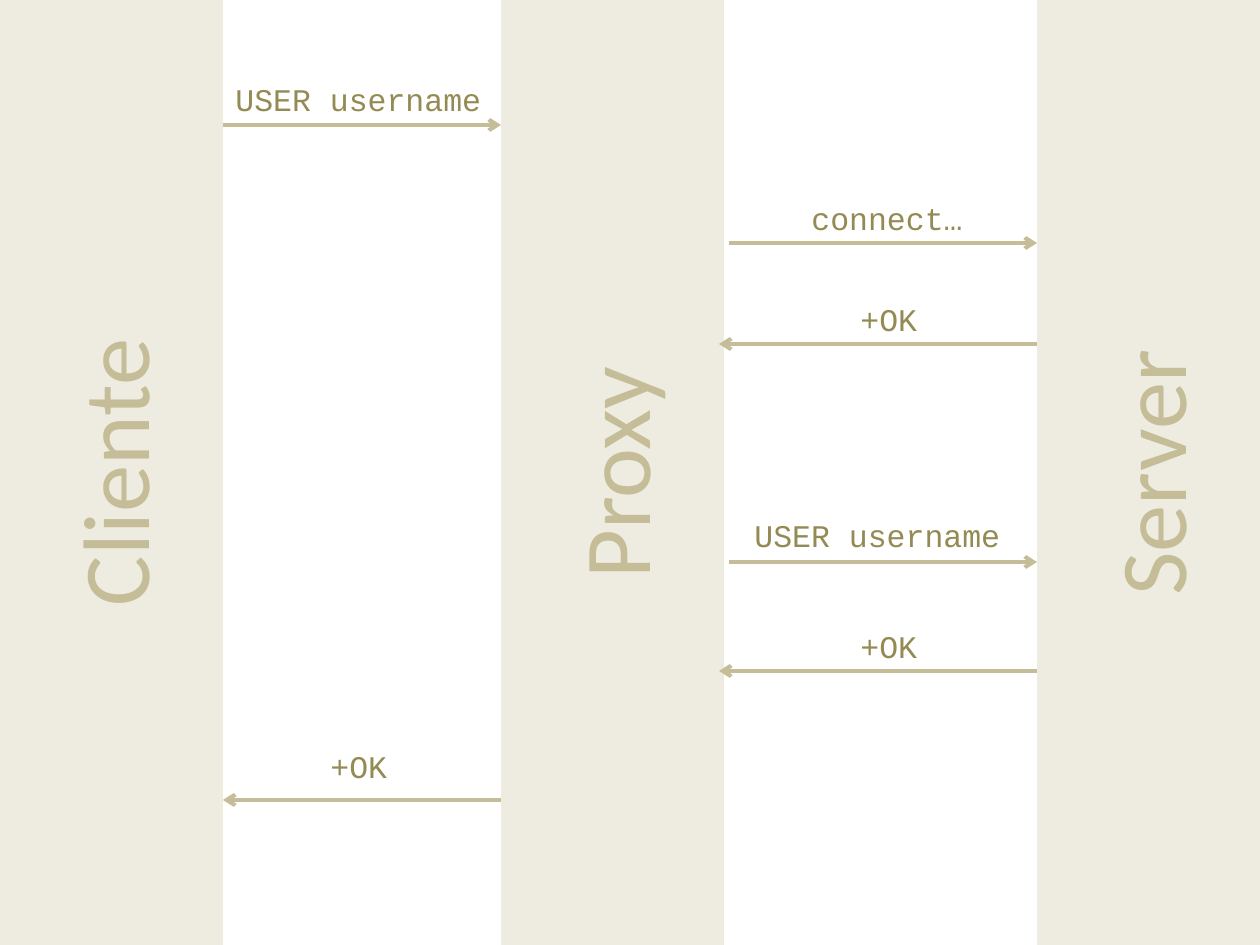
from lxml import etree
from pptx import Presentation
from pptx import util as u
from pptx.dml.color import RGBColor
from pptx.enum import shapes, text
from pptx.oxml import ns

SCALE = 914400 / 126  # EMU per pixel
WIDE, HIGH = 1260, 945
COLORS = {"band": "EEECE1", "line": "C4BD97", "name": "C4BD97", "label": "948A54"}
FONTS = {
    "name": {"name": "Calibri", "size": u.Pt(54)},
    "label": {"name": "Courier New", "size": u.Pt(18)},
}

# Lanes: name, left edge
LANE = 223
LANES = [("Cliente", 0), ("Proxy", 501), ("Server", 1037)]

# Messages: text, start x, end x, line y, label left, top and width
STEPS = [
    ("USER username", 223, 501, 125, 223, 74, 272),
    ("connect…", 729, 1037, 243, 799, 193, 178),
    ("+OK", 1037, 719, 344, 848, 294, 82),
    ("USER username", 729, 1037, 562, 742, 510, 272),
    ("+OK", 1037, 719, 671, 848, 621, 82),
    ("+OK", 501, 223, 800, 318, 741, 82),
]


def px(*vals):
    return [u.Emu(round(v * SCALE)) for v in vals]


def rgb(key):
    return RGBColor.from_string(COLORS[key])


def write(frame, words, kind):
    par = frame.paragraphs[0]
    run = par.add_run()
    run.text = words
    for key, val in FONTS[kind].items():
        setattr(run.font, key, val)
    run.font.color.rgb = rgb(kind)
    return par


def lane(slide, name, left):
    box = slide.shapes.add_shape(
        shapes.MSO_SHAPE.RECTANGLE, *px(left, 0, LANE, HIGH))
    box.shadow.inherit = False
    box.fill.solid()
    box.fill.fore_color.rgb = rgb("band")
    box.line.fill.background()
    frame = box.text_frame
    frame.vertical_anchor = text.MSO_ANCHOR.MIDDLE
    write(frame, name, "name").alignment = text.PP_ALIGN.CENTER
    # Text reads upward
    frame._txBody.bodyPr.set("vert", "vert270")


def arrow(slide, start, end, y):
    line = slide.shapes.add_connector(
        shapes.MSO_CONNECTOR.STRAIGHT, *px(start, y, end, y))
    line.line.color.rgb = rgb("line")
    line.line.width = u.Pt(2.25)
    etree.SubElement(line.line._get_or_add_ln(), ns.qn("a:tailEnd"), type="arrow")
    etree.SubElement(line._element.spPr, ns.qn("a:effectLst"))


def label(slide, words, left, top, width):
    frame = slide.shapes.add_textbox(*px(left, top, width, 50)).text_frame
    frame.word_wrap = False
    frame.auto_size = text.MSO_AUTO_SIZE.SHAPE_TO_FIT_TEXT
    write(frame, words, "label")


def main():
    deck = Presentation()
    deck.slide_width, deck.slide_height = px(WIDE, HIGH)
    slide = deck.slides.add_slide(deck.slide_layouts[6])
    # Lanes behind the messages
    for name, left in LANES:
        lane(slide, name, left)
    # Messages between lanes
    for words, start, end, y, *place in STEPS:
        arrow(slide, start, end, y)
        label(slide, words, *place)
    deck.save("out.pptx")


main()
